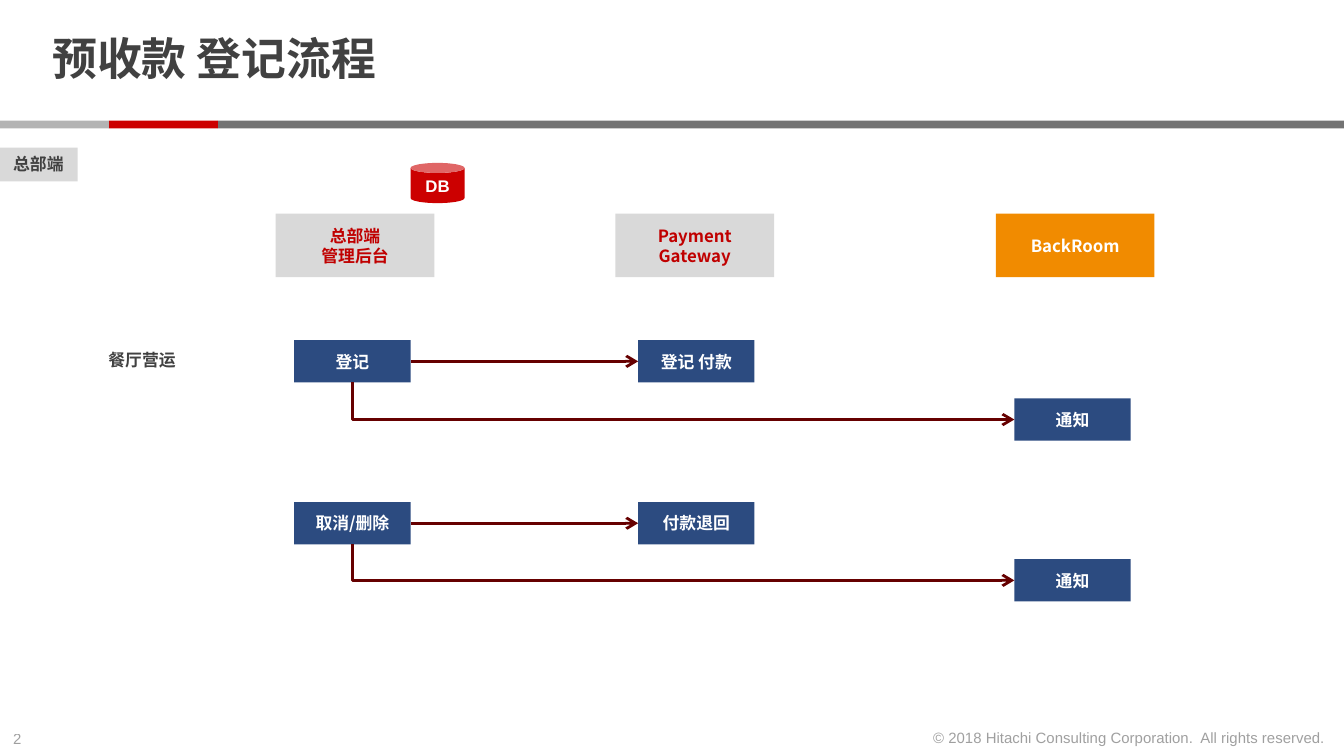
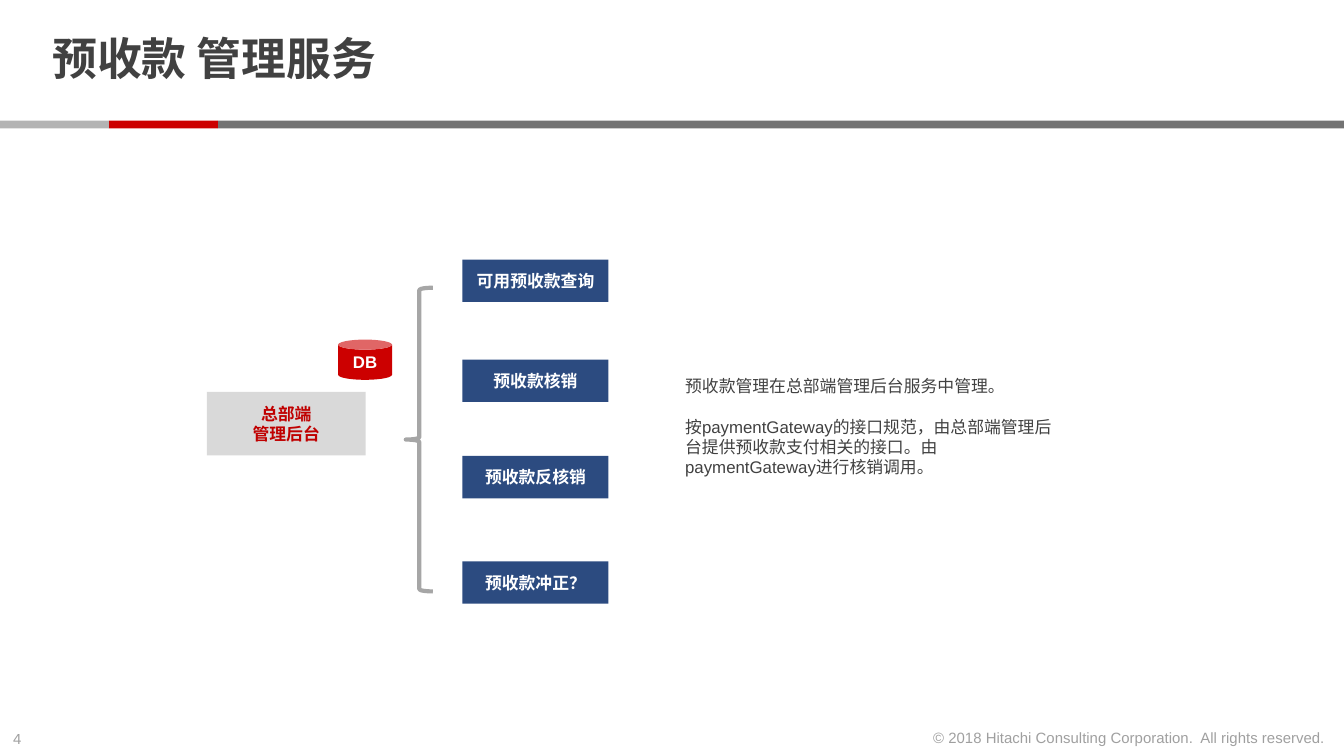
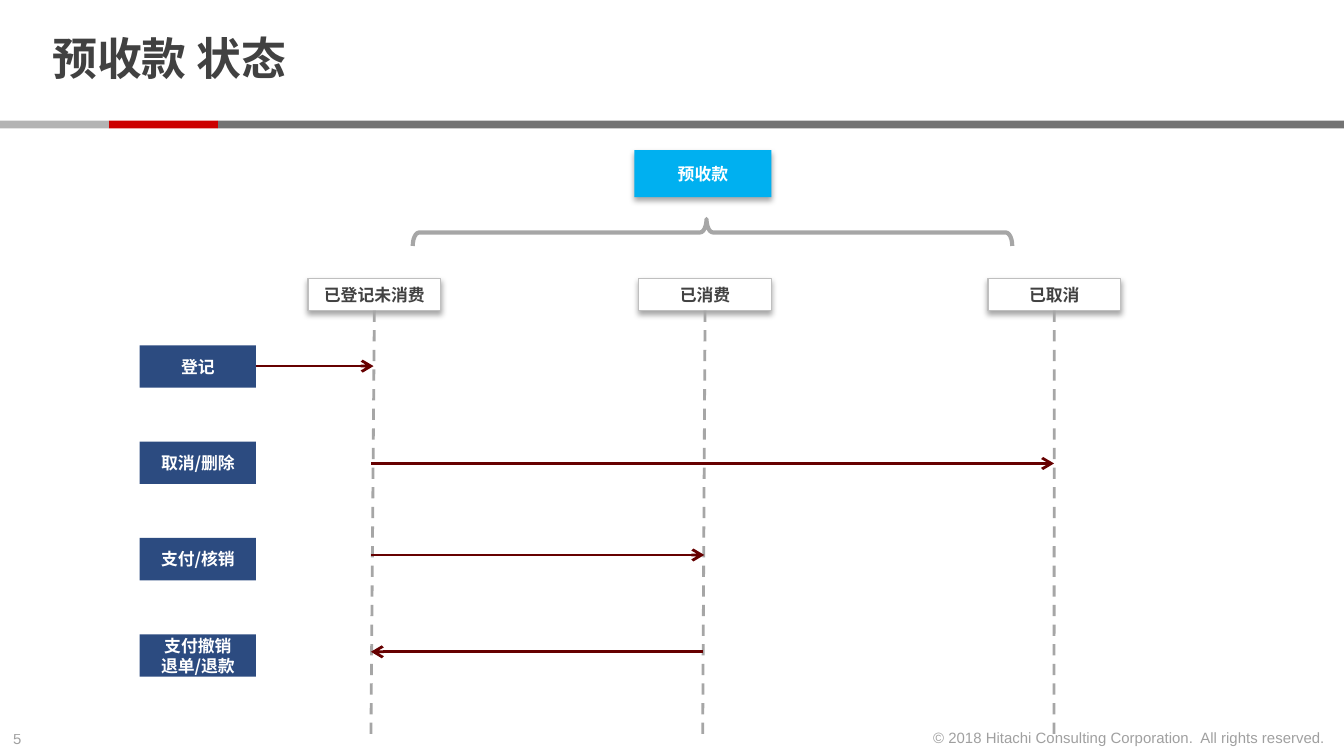
import pptx
import pptx.util
import pptx.dml.color
import pptx.enum.dml
import pptx.enum.shapes
import pptx.enum.text
import pptx.oxml.ns
from lxml import etree

Cm = pptx.util.Cm
Pt = pptx.util.Pt
RGBColor = pptx.dml.color.RGBColor
SHAPE = pptx.enum.shapes.MSO_SHAPE
CONNECTOR = pptx.enum.shapes.MSO_CONNECTOR
ALIGN = pptx.enum.text.PP_ALIGN
ANCHOR = pptx.enum.text.MSO_ANCHOR
qn = pptx.oxml.ns.qn

INK = RGBColor(0x41, 0x41, 0x41)
WHITE = RGBColor(0xFF, 0xFF, 0xFF)
RED = RGBColor(0xCC, 0x00, 0x00)
DARK_RED = RGBColor(0xC0, 0x00, 0x00)
MAROON = RGBColor(0x66, 0x00, 0x00)
NAVY = RGBColor(0x2C, 0x4B, 0x80)
ORANGE = RGBColor(0xF1, 0x8B, 0x00)
SKY = RGBColor(0x00, 0xB0, 0xF0)
PALE = RGBColor(0xD9, 0xD9, 0xD9)
BORDER = RGBColor(0xBF, 0xBF, 0xBF)
SILVER = RGBColor(0xB3, 0xB3, 0xB3)
GREY = RGBColor(0xA6, 0xA6, 0xA6)
BAND = RGBColor(0x73, 0x73, 0x73)

CJK = "Noto Sans CJK SC"
LATIN = "Arial"
COPYRIGHT = "© 2018 Hitachi Consulting Corporation.  All rights reserved."
STEP_W, STEP_H = 2.2, 0.8
SYSTEM_W, SYSTEM_H = 3.0, 1.2
STATE_W, STATE_H = 2.51, 0.61


class Deck:
    def __init__(self):
        self.prs = pptx.Presentation()
        self.prs.slide_width = Cm(25.4)
        self.prs.slide_height = Cm(14.29)
        self.s = None

    def slide(self, number, title):
        self.s = self.prs.slides.add_slide(self.prs.slide_layouts[6])
        self.text(0, 13.67, 0.86, 0.61, [number], size=8, alpha=50)
        for x, w, color in ((4.12, 21.28, BAND), (2.06, 2.06, RED), (0, 2.06, SILVER)):
            self.shape(x, 2.28, w, 0.15, fill=color)
        self.text(17.27, 13.64, 8.03, 0.61, [COPYRIGHT], size=8, alpha=50, align=ALIGN.RIGHT)
        tf = self.text(0.74, 0.15, 19.58, 2.03, [title], size=24, bold=True, wrap=True)
        tf.auto_size = pptx.enum.text.MSO_AUTO_SIZE.NONE
        tf.vertical_anchor = ANCHOR.MIDDLE
        tf.margin_top = tf.margin_bottom = 0
        tf.paragraphs[0].line_spacing = 0.85

    def fill_text(self, tf, lines, size=9, font=LATIN, color=INK, bold=False,
                  align=ALIGN.LEFT, alpha=None, gap=0):
        for i, line in enumerate(lines):
            p = tf.paragraphs[0] if i == 0 else tf.add_paragraph()
            p.text = line
            p.alignment = align
            if i and gap:
                p.space_before = Pt(gap)
            p.font.size = Pt(size)
            p.font.bold = bold
            p.font.name = font
            p.font.color.rgb = color
            props = p._p.pPr.find(qn("a:defRPr"))
            etree.SubElement(props, qn("a:ea"), typeface=CJK)
            if alpha:
                etree.SubElement(props.find(".//" + qn("a:srgbClr")), qn("a:alpha"),
                                 val=str(alpha * 1000))

    def text(self, x, y, w, h, lines, wrap=False, **style):
        tf = self.s.shapes.add_textbox(Cm(x), Cm(y), Cm(w), Cm(h)).text_frame
        tf.word_wrap = wrap
        tf.auto_size = pptx.enum.text.MSO_AUTO_SIZE.SHAPE_TO_FIT_TEXT
        self.fill_text(tf, lines, **style)
        return tf

    def shape(self, x, y, w, h, kind=SHAPE.RECTANGLE, fill=None, line=None, width=0.75):
        sp = self.s.shapes.add_shape(kind, Cm(x), Cm(y), Cm(w), Cm(h))
        sp.shadow.inherit = False
        if fill is None:
            sp.fill.background()
        else:
            sp.fill.solid()
            sp.fill.fore_color.rgb = fill
        if line is None:
            sp.line.fill.background()
        else:
            sp.line.color.rgb = line
            sp.line.width = Pt(width)
        return sp

    def box(self, x, y, w, h, lines, fill, color=WHITE, font=CJK, kind=SHAPE.RECTANGLE,
            line=None, shadow=False):
        sp = self.shape(x, y, w, h, kind, fill, line)
        sp.text_frame.vertical_anchor = ANCHOR.MIDDLE
        self.fill_text(sp.text_frame, lines, font=font, color=color, bold=True,
                       align=ALIGN.CENTER)
        if shadow:
            effects = sp._element.spPr.find(qn("a:effectLst"))
            outer = etree.SubElement(effects, qn("a:outerShdw"), blurRad=str(Pt(3.1)),
                                     dist=str(Pt(1.8)), dir="5400000", rotWithShape="0")
            black = etree.SubElement(outer, qn("a:srgbClr"), val="000000")
            etree.SubElement(black, qn("a:alpha"), val="35000")

    def step(self, x, y, *lines, w=STEP_W):
        self.box(x, y, w, STEP_H, lines, NAVY)

    def system(self, x, y, *lines, fill=PALE, color=DARK_RED):
        self.box(x, y, SYSTEM_W, SYSTEM_H, lines, fill, color)

    def database(self, x, y):
        self.box(x, y, 1.02, 0.76, ["DB"], RED, font=LATIN, kind=SHAPE.CAN)

    def brace(self, x, y, w, h):
        return self.shape(x, y, w, h, SHAPE.LEFT_BRACE, line=GREY, width=2.25)

    def line(self, x1, y1, x2, y2, color, kind=CONNECTOR.STRAIGHT):
        c = self.s.shapes.add_connector(kind, Cm(x1), Cm(y1), Cm(x2), Cm(y2))
        c.line.color.rgb = color
        c.line.width = Pt(1.5)
        etree.SubElement(c._element.spPr, qn("a:effectLst"))
        return c

    def lifeline(self, x1, y1, x2, y2):
        c = self.line(x1, y1, x2, y2, GREY)
        c.line.dash_style = pptx.enum.dml.MSO_LINE.DASH

    def add_head(self, c):
        ln = c._element.spPr.find(qn("a:ln"))
        etree.SubElement(ln, qn("a:headEnd"), type="arrow")

    def arrow(self, tip_x, tail_x, y):
        self.add_head(self.line(tip_x, y, tail_x, y, MAROON))

    def bent_arrow(self, tail_x, tail_y, tip_x, tip_y):
        c = self.line(tail_x, tail_y, tip_x, tip_y, MAROON, CONNECTOR.ELBOW)
        c._element.spPr.find(qn("a:prstGeom")).set("prst", "bentConnector2")
        c._element.spPr.find(qn("a:xfrm")).set("rot", "10800000")
        self.add_head(c)


def registration_flow(d):
    d.slide("2", "预收款 登记流程")
    d.system(5.21, 4.04, "总部端", "管理后台")
    d.shape(0, 2.79, 1.47, 0.64, fill=PALE)
    d.text(0, 2.79, 1.47, 0.64, ["总部端"], font=CJK, bold=True)
    d.system(18.82, 4.04, "BackRoom", fill=ORANGE, color=WHITE)
    d.system(11.63, 4.04, "Payment", "Gateway")
    d.text(1.8, 6.48, 1.8, 0.64, ["餐厅营运"], bold=True)
    admin_x, gateway_x, backroom_x = 5.56, 12.06, 19.17
    for y, notice_y, action, payment in ((6.43, 7.53, "登记", "登记 付款"),
                                         (9.49, 10.57, "取消/删除", "付款退回")):
        d.step(admin_x, y, action)
        d.step(gateway_x, y, payment)
        d.step(backroom_x, notice_y, "通知")
        d.arrow(gateway_x, admin_x + STEP_W, y + STEP_H / 2)
        d.bent_arrow(admin_x + STEP_W / 2, y + STEP_H, backroom_x, notice_y + STEP_H / 2)
    d.database(7.76, 3.08)


def management_services(d):
    d.slide("4", "预收款 管理服务")
    d.system(3.91, 7.41, "总部端", "管理后台")
    d.database(6.39, 6.42)
    d.brace(7.67, 5.44, 0.51, 5.74)
    for y, service in ((4.91, "可用预收款查询"), (6.8, "预收款核销"),
                       (8.62, "预收款反核销"), (10.61, "预收款冲正？")):
        d.step(8.74, y, service, w=2.76)
    d.text(12.7, 6.98, 7.62, 2.18, [
        "预收款管理在总部端管理后台服务中管理。",
        "按paymentGateway的接口规范，由总部端管理后台提供预收款支付相关的接口。"
        "由paymentGateway进行核销调用。"], wrap=True, gap=11)


def states(d):
    d.slide("5", "预收款 状态")
    d.box(11.99, 2.84, 2.59, 0.89, ["预收款"], SKY, shadow=True)
    sp = d.brace(13.21, -1.27, 0.51, 11.33)
    sp.rotation = 90
    sp.adjustments[0], sp.adjustments[1] = 0.24, 0.51
    state_y = 5.26
    for x, foot_x, state in ((5.82, 7.01, "已登记未消费"), (12.07, 13.28, "已消费"),
                             (18.67, 19.92, "已取消")):
        d.box(x, state_y, STATE_W, STATE_H, [state], WHITE, INK, line=BORDER, shadow=True)
        d.lifeline(x + STATE_W / 2, state_y + STATE_H, foot_x, 13.92)
    actions = (["登记"], ["取消/删除"], ["支付/核销"], ["支付撤销", "退单/退款"])
    for i, lines in enumerate(actions):
        d.step(2.64, 6.53 + 1.82 * i, *lines)
    for tip_x, tail_x, y in ((7.06, 4.84, 6.92), (19.92, 7.01, 8.76),
                             (13.31, 7.01, 10.49), (7.01, 13.28, 12.32)):
        d.arrow(tip_x, tail_x, y)


def main():
    d = Deck()
    registration_flow(d)
    management_services(d)
    states(d)
    d.prs.save("out.pptx")


if __name__ == "__main__":
    main()
